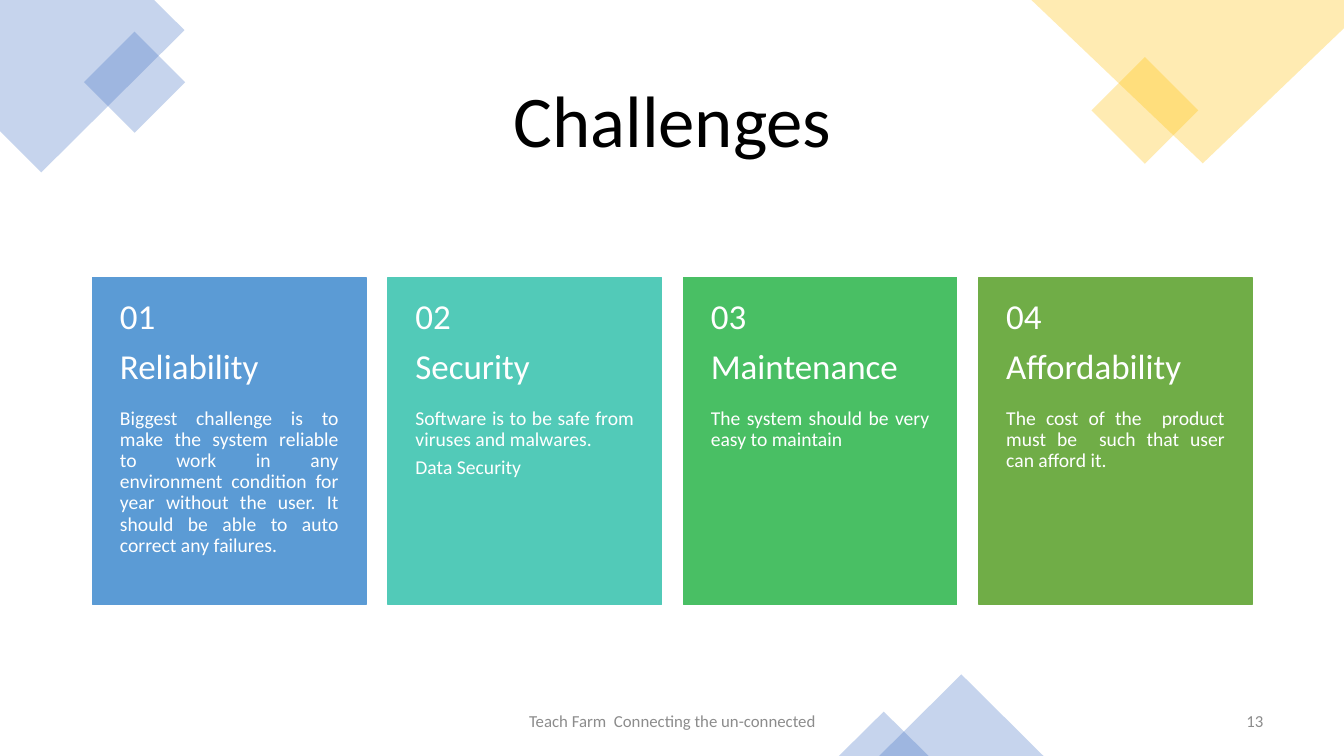
from lxml import etree
from pptx import Presentation
from pptx.dml.color import RGBColor
from pptx.enum.shapes import MSO_SHAPE
from pptx.enum.text import MSO_ANCHOR, PP_ALIGN
from pptx.oxml.ns import qn
from pptx.util import Inches, Pt

RECT, TRIANGLE = MSO_SHAPE.RECTANGLE, MSO_SHAPE.ISOSCELES_TRIANGLE
TOP, MIDDLE = MSO_ANCHOR.TOP, MSO_ANCHOR.MIDDLE
LEFT, CENTER, RIGHT, JUSTIFY = (PP_ALIGN.LEFT, PP_ALIGN.CENTER,
                                PP_ALIGN.RIGHT, PP_ALIGN.JUSTIFY)
FONT = "Calibri"
WHITE, BLACK, GRAY = "FFFFFF", "000000", "8C8C8C"
BLUE, YELLOW = "4472C4", "FFC000"

CARD_LEFT, CARD_TOP, CARD_PITCH = 0.92, 2.75, 2.93
CARD_W, CARD_H, HEAD_H = 2.71, 3.25, 1.3
CARDS = [
    ("Reliability", "5B9BD5",
     ["Biggest challenge is to make the system reliable to work in any "
      "environment condition for year without the user. It should be able "
      "to auto correct any failures."]),
    ("Security", "52CAB8",
     ["Software is to be safe from viruses and malwares.", "Data Security"]),
    ("Maintenance", "49BF64",
     ["The system should be very easy to maintain"]),
    ("Affordability", "70AD47",
     ["The cost of the  product must be  such that user can afford it."]),
]


def rgb(color):
    return RGBColor.from_string(color)


def set_fill(sp, color, alpha=None):
    """Fill without outline; alpha is the opacity in percent."""
    sp.shadow.inherit = False
    sp.fill.solid()
    sp.fill.fore_color.rgb = rgb(color)
    sp.line.fill.background()
    if alpha is not None:
        clr = sp.fill._xPr.find(qn("a:solidFill"))[0]
        etree.SubElement(clr, qn("a:alpha")).set("val", str(alpha * 1000))


def add_box(s, kind, x, y, w, h, color, alpha=None, rotation=0):
    sp = s.shapes.add_shape(kind, Inches(x), Inches(y), Inches(w), Inches(h))
    set_fill(sp, color, alpha)
    sp.rotation = rotation
    return sp


def add_polygon(s, points, color, alpha):
    corners = [(Inches(x), Inches(y)) for x, y in points]
    builder = s.shapes.build_freeform(*corners[0])
    builder.add_line_segments(corners[1:], close=True)
    set_fill(builder.convert_to_shape(), color, alpha)


def add_text(s, paragraphs, x, y, w, h, *, size, color, align=LEFT,
             anchor=MIDDLE, spacing=None, after=0,
             insets=(0.1, 0.05, 0.1, 0.05)):
    """Text box; insets are left, top, right, bottom in inches."""
    sp = s.shapes.add_textbox(Inches(x), Inches(y), Inches(w), Inches(h))
    tf = sp.text_frame
    tf.word_wrap = True
    tf.vertical_anchor = anchor
    (tf.margin_left, tf.margin_top,
     tf.margin_right, tf.margin_bottom) = map(Inches, insets)
    for i, text in enumerate(paragraphs):
        p = tf.add_paragraph() if i else tf.paragraphs[0]
        p.alignment = align
        p.line_spacing = spacing
        p.space_after = Pt(after)
        r = p.add_run()
        r.text = text
        r.font.name = FONT
        r.font.size = Pt(size)
        r.font.color.rgb = rgb(color)


def add_corner_shapes(s):
    add_polygon(s, [(0, 0), (1.53, 0), (1.83, 0.3), (0.41, 1.71), (0, 1.3)],
                BLUE, 30)
    add_box(s, RECT, 0.98, 0.46, 0.71, 0.71, BLUE, 30, rotation=315)
    add_box(s, RECT, 10.98, 0.72, 0.75, 0.75, YELLOW, 30, rotation=315)
    add_polygon(s, [(13.33, 0), (10.23, 0), (11.93, 1.62), (13.33, 0.28)],
                YELLOW, 30)
    add_box(s, TRIANGLE, 8.72, 6.69, 1.63, 0.81, BLUE, 30)
    add_box(s, TRIANGLE, 8.32, 7.06, 0.89, 0.44, BLUE, 30)


def add_card(s, index, heading, color, body):
    x = CARD_LEFT + index * CARD_PITCH
    card = add_box(s, RECT, x, CARD_TOP, CARD_W, CARD_H, color)
    card.line.color.rgb = rgb(color)
    card.line.width = Pt(1)
    add_text(s, body, x, CARD_TOP + HEAD_H, CARD_W, CARD_H - HEAD_H,
             size=14, color=WHITE, align=JUSTIFY, anchor=TOP, spacing=0.9,
             after=4.9, insets=(0.27, 0, 0.27, 0.36))
    add_text(s, [f"{index + 1:02}", heading], x, CARD_TOP, CARD_W, HEAD_H,
             size=25, color=WHITE, spacing=0.9, after=8.75,
             insets=(0.27, 0.18, 0.27, 0.18))


def main():
    prs = Presentation()
    prs.slide_width, prs.slide_height = Inches(13.33), Inches(7.5)
    s = prs.slides.add_slide(prs.slide_layouts[6])
    add_corner_shapes(s)
    add_text(s, ["Teach Farm  Connecting the un-connected"],
             4.42, 6.95, 4.5, 0.4, size=12, color=GRAY, align=CENTER, after=6)
    add_text(s, ["13"], 9.63, 6.95, 3, 0.4,
             size=12, color=GRAY, align=RIGHT, after=6)
    add_text(s, ["Challenges"], 0.92, 0.61, 11.5, 1.24,
             size=52, color=BLACK, align=CENTER, spacing=0.9)
    for i, (heading, color, body) in enumerate(CARDS):
        add_card(s, i, heading, color, body)
    prs.save("out.pptx")


if __name__ == "__main__":
    main()
